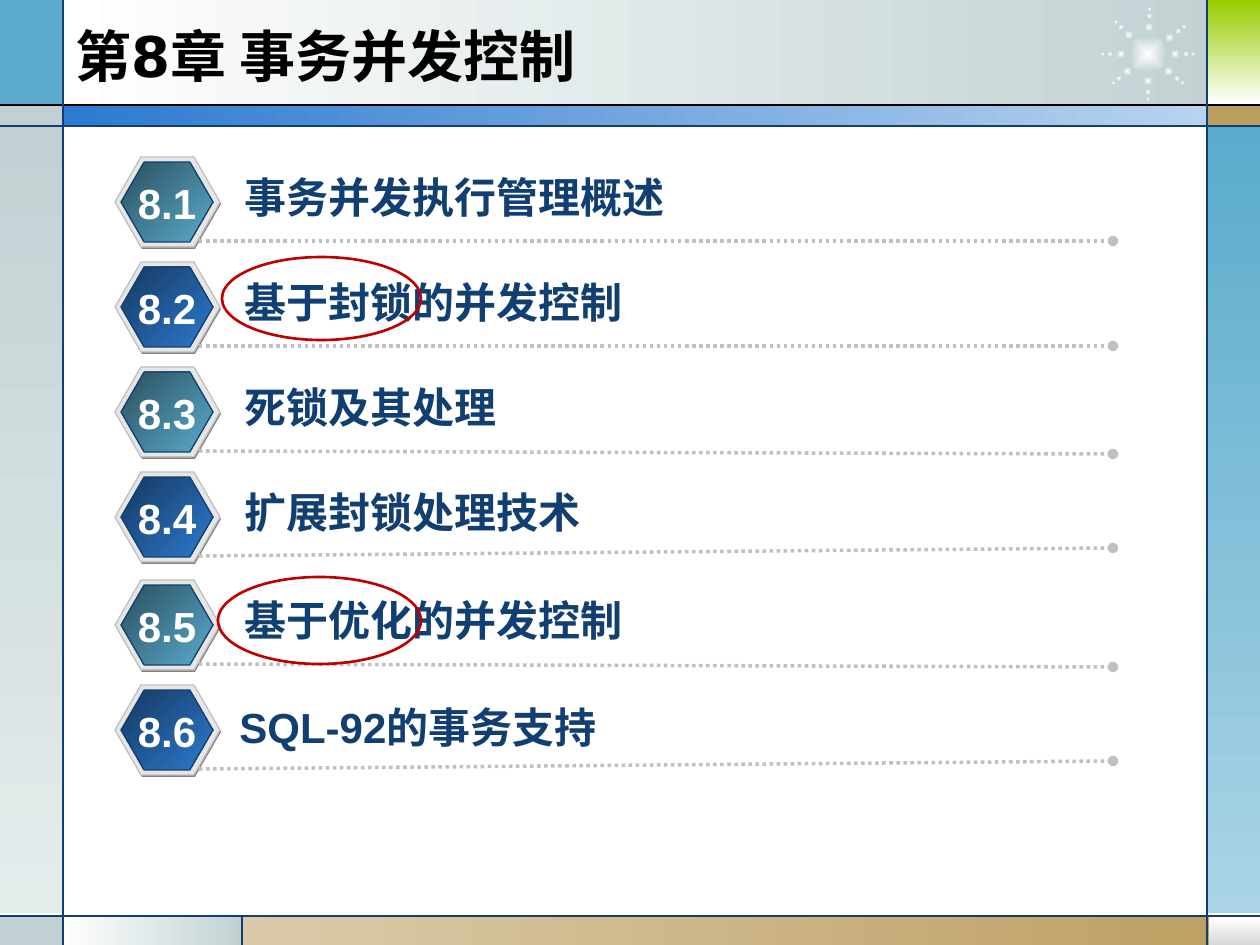
import math
from dataclasses import dataclass

from lxml import etree
from pptx import Presentation
from pptx.dml.color import RGBColor
from pptx.enum.dml import MSO_LINE
from pptx.enum.shapes import MSO_CONNECTOR, MSO_SHAPE
from pptx.enum.text import MSO_ANCHOR, MSO_AUTO_SIZE, PP_ALIGN
from pptx.oxml.ns import qn
from pptx.util import Pt

RECT, OVAL, HEXAGON = MSO_SHAPE.RECTANGLE, MSO_SHAPE.OVAL, MSO_SHAPE.HEXAGON
STRAIGHT, DOTTED = MSO_CONNECTOR.STRAIGHT, MSO_LINE.ROUND_DOT
LEFT, CENTER = PP_ALIGN.LEFT, PP_ALIGN.CENTER
MIDDLE, TOP = MSO_ANCHOR.MIDDLE, MSO_ANCHOR.TOP
GROW, FIXED = MSO_AUTO_SIZE.SHAPE_TO_FIT_TEXT, MSO_AUTO_SIZE.NONE
EMU_PER_PX = 914400 / 126


@dataclass(frozen=True)
class Theme:
    black: str = "000000"
    white: str = "FFFFFF"
    navy: str = "113F71"
    sky: str = "5AABCC"
    sky_light: str = "AAD4E5"
    sky_dark: str = "2A4F5E"
    blue: str = "2D7ACF"
    blue_light: str = "B9D3EF"
    blue_dark: str = "153860"
    mist: str = "C1D1D3"
    mist_light: str = "E5ECEC"
    tan: str = "BD9E61"
    tan_light: str = "DBCAA9"
    lime: str = "99CC00"
    silver: str = "D8D8D8"
    shade: str = "808080"
    rim: str = "E6E6E6"
    dots: str = "C0C0C0"
    red: str = "C00000"
    title_font: str = "DejaVu Sans"
    body_font: str = "Arial"
    title_size: int = 32
    body_size: int = 24
    thin: float = 0.75
    dot_width: float = 2
    ring_width: float = 1.5


def px(n):
    return round(n * EMU_PER_PX)


def rgb(value):
    return RGBColor.from_string(value)


class Deck:
    def __init__(self, theme):
        self.t = theme
        self.prs = Presentation()
        self.prs.slide_width, self.prs.slide_height = px(1260), px(945)
        self.s = self.prs.slides.add_slide(self.prs.slide_layouts[6])

    def group(self):
        return self.s.shapes.add_group_shape()

    def shape(self, kind, box, fill=None, line=None, width=None, angle=0, parent=None):
        """Fill is a colour, a pair of gradient colours or None; angle None is a glow."""
        sp = (parent or self.s).shapes.add_shape(kind, *map(px, box))
        sp.shadow.inherit = False
        if fill is None:
            sp.fill.background()
        elif isinstance(fill, str):
            sp.fill.solid()
            sp.fill.fore_color.rgb = rgb(fill)
        else:
            self.gradient(sp, fill, angle)
        if line:
            sp.line.color.rgb = rgb(line)
            sp.line.width = Pt(width or self.t.thin)
        else:
            sp.line.fill.background()
        return sp

    def gradient(self, sp, colors, angle):
        sp.fill.gradient()
        for stop, color in zip(sp.fill.gradient_stops, colors):
            stop.color.rgb = rgb(color)
        if angle is not None:
            sp.fill.gradient_angle = -angle % 360
            return
        grad = sp.element.spPr.find(qn("a:gradFill"))
        grad.remove(grad.find(qn("a:lin")))
        glow = etree.SubElement(grad, qn("a:path"), {"path": "rect"})
        etree.SubElement(glow, qn("a:fillToRect"), {side: "50000" for side in "ltrb"})

    def hexagon(self, box, fill, line=None, angle=0, parent=None):
        sp = self.shape(HEXAGON, box, fill, line, angle=angle, parent=parent)
        sp.adjustments[0] = 0.289

    def line(self, x1, y1, x2, y2, color, width, dotted=False):
        c = self.s.shapes.add_connector(STRAIGHT, *map(px, (x1, y1, x2, y2)))
        c.line.color.rgb = rgb(color)
        c.line.width = Pt(width)
        if dotted:
            c.line.dash_style = DOTTED
            ln = c._element.spPr.find(qn("a:ln"))
            etree.SubElement(ln, qn("a:tailEnd"), {"type": "oval"})
        etree.SubElement(c._element.spPr, qn("a:effectLst"))

    def text(self, box, text, color, size, font, align=LEFT, anchor=TOP, wrap=False):
        tf = self.s.shapes.add_textbox(*map(px, box)).text_frame
        tf.word_wrap = wrap
        tf.auto_size = FIXED if wrap else GROW
        tf.vertical_anchor = anchor
        p = tf.paragraphs[0]
        p.text = text
        p.alignment = align
        p.font.name, p.font.size, p.font.bold = font, Pt(size), True
        p.font.color.rgb = rgb(color)


def draw_frame(d):
    t = d.t
    # Panels around the page: box, fill, gradient angle
    for box, fill, angle in (
        ((63, 0, 1168, 106), (t.white, t.mist), 0),
        ((0, 0, 63, 106), t.sky, 0),
        ((0, 105, 63, 21), t.mist, 0),
        ((0, 126, 63, 787), (t.mist, t.mist_light), 90),
        ((0, 917, 63, 28), t.mist, 0),
        ((63, 916, 180, 29), (t.white, t.mist), 0),
        ((242, 916, 1018, 29), (t.tan_light, t.tan), 0),
        ((1209, 917, 51, 28), (t.white, t.silver), 90),
        ((1207, 126, 53, 787), (t.sky, t.sky_light), 90),
        ((1207, 105, 53, 21), t.tan, 0),
        ((1208, 0, 52, 105), (t.lime, t.white), 90),
        ((63, 105, 1145, 21), (t.blue, t.blue_light), 0),
    ):
        d.shape(RECT, box, fill, angle=angle)

    # Starburst: a core with rays of three shrinking dots
    star, glow = d.group(), (t.white, t.mist)
    cx, cy = 1148, 54
    d.shape(OVAL, (cx - 19, cy - 19, 38, 38), glow, angle=None, parent=star)
    for degrees in (0, 40, 90, 140, 180, 225, 272, 323):
        a = math.radians(degrees)
        for radius, size in ((27, 9), (38, 6), (45, 4)):
            x, y = cx + radius * math.cos(a), cy + radius * math.sin(a)
            box = (x - size / 2, y - size / 2, size, size)
            d.shape(OVAL, box, glow, angle=None, parent=star)

    # Grid lines
    for y, color in ((105, t.black), (126, t.navy), (916, t.navy)):
        d.line(0, y, 1260, y, color, t.thin)
    for x, y in ((63, 0), (1207, 0), (242, 916)):
        d.line(x, y, x, 945, t.navy, t.thin)


def draw_row(d, number, top, label, label_box, drop, core):
    t = d.t
    # Badge
    badge = d.group()
    d.hexagon((116, top + 2, 105, 90), t.shade, parent=badge)
    d.hexagon((115, top, 105, 90), t.rim, t.dots, parent=badge)
    d.hexagon((121, top + 5, 92, 80), core, t.navy, angle=45, parent=badge)
    # Dotted rule, label and number
    d.line(199, top + 84, 1113, top + 84 + drop, t.dots, t.dot_width, dotted=True)
    d.text(label_box, label, t.navy, t.body_size, t.body_font)
    d.text((121, top + 14, 92, 63), number, t.white, t.body_size, t.body_font, CENTER)


def main():
    t = Theme()
    d = Deck(t)
    draw_frame(d)
    d.text((63, 16, 1124, 78), "第8章 事务并发控制", t.black, t.title_size,
           t.title_font, anchor=MIDDLE, wrap=True)

    # Contents: label, left, width, drop of the rule's far end
    rows = (
        ("事务并发执行管理概述", 232, 449, 0),
        ("基于封锁的并发控制", 232, 407, 0),
        ("死锁及其处理", 232, 281, 3),
        ("扩展封锁处理技术", 232, 365, -8),
        ("基于优化的并发控制", 232, 407, 3),
        ("SQL-92的事务支持", 227, 396, -8),
    )
    cores = ((t.sky_dark, t.sky), (t.blue_dark, t.blue))
    for i, (label, left, width, drop) in enumerate(rows):
        top = 157 + 105 * i + (3 if i > 3 else 0)
        box = (left, top + (10 if i == 5 else 8), width, 63)
        draw_row(d, f"8.{i + 1}", top, label, box, drop, cores[i % 2])

    # Red rings around the two key terms
    for box in ((222, 257, 199, 83), (218, 577, 203, 87)):
        d.shape(OVAL, box, line=t.red, width=t.ring_width)

    d.prs.save("out.pptx")


if __name__ == "__main__":
    main()
